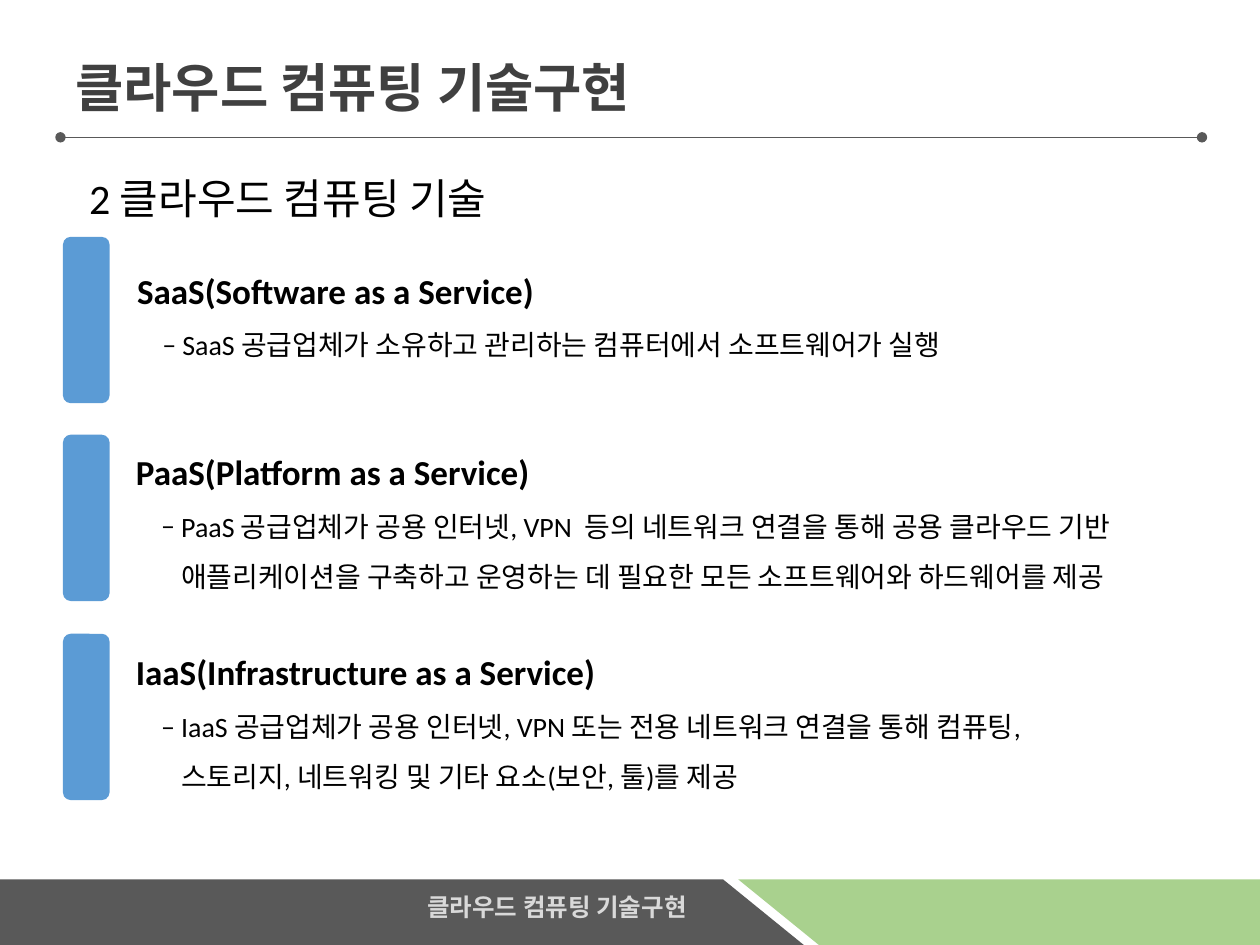
from lxml.etree import SubElement
from pptx import Presentation
from pptx.dml.color import RGBColor
from pptx.enum.shapes import MSO_CONNECTOR, MSO_SHAPE
from pptx.enum.text import MSO_ANCHOR, MSO_AUTO_SIZE, PP_ALIGN
from pptx.oxml.ns import qn
from pptx.util import Inches, Pt

WHITE = RGBColor(0xFF, 0xFF, 0xFF)
BLACK = RGBColor(0x00, 0x00, 0x00)
DARK_GRAY = RGBColor(0x59, 0x59, 0x59)
TITLE_GRAY = RGBColor(0x40, 0x40, 0x40)
LIGHT_GRAY = RGBColor(0xD9, 0xD9, 0xD9)
GREEN = RGBColor(0xA9, 0xD1, 0x8E)
BLUE = RGBColor(0x5B, 0x9B, 0xD5)
LATIN_FONT = "Calibri"
KOREAN_FONT = "Noto Sans CJK KR"
TITLE = "클라우드 컴퓨팅 기술구현"


def add_text_box(left, top, width, height, wrap=True):
    text_box = slide.shapes.add_textbox(Inches(left), Inches(top), Inches(width), Inches(height))
    frame = text_box.text_frame
    frame.word_wrap = wrap
    frame.auto_size = MSO_AUTO_SIZE.SHAPE_TO_FIT_TEXT
    return frame


def style(paragraph, text, size, color, bold=False, name=LATIN_FONT):
    paragraph.text = text
    font = paragraph.font
    font.size = Pt(size)
    font.bold = bold
    font.name = name
    font.color.rgb = color


presentation = Presentation()
presentation.slide_width = Inches(10)
presentation.slide_height = Inches(7.5)
slide = presentation.slides.add_slide(presentation.slide_layouts[6])
slide.background.fill.solid()
slide.background.fill.fore_color.rgb = WHITE

footer_bands = [
    (DARK_GRAY, [(-0.08, 6.98), (5.74, 6.98), (6.38, 7.5), (-0.07, 7.5)]),
    (GREEN, [(12.32, 7.5), (6.5, 7.5), (5.86, 6.98), (12.31, 6.98)]),
]
for color, points in footer_bands:
    corners = [(Inches(x), Inches(y)) for x, y in points]
    builder = slide.shapes.build_freeform(*corners[0])
    builder.add_line_segments(corners[1:], close=True)
    band = builder.convert_to_shape()
    band.shadow.inherit = False
    band.fill.solid()
    band.fill.fore_color.rgb = color
    band.line.fill.background()

rule = slide.shapes.add_connector(
    MSO_CONNECTOR.STRAIGHT, Inches(0.48), Inches(1.09), Inches(9.54), Inches(1.09)
)
rule.line.color.rgb = DARK_GRAY
rule.line.width = Pt(0.5)
line_properties = rule.line._get_or_add_ln()
for end in ("a:headEnd", "a:tailEnd"):
    SubElement(line_properties, qn(end), type="oval")
SubElement(rule._element.spPr, qn("a:effectLst"))

services = [
    (1.88, (0.99, 1.92, 8.03, 0.97), "SaaS(Software as a Service)", [
        "SaaS 공급업체가 소유하고 관리하는 컴퓨터에서 소프트웨어가 실행",
    ]),
    (3.45, (0.98, 3.36, 8.48, 1.37), "PaaS(Platform as a Service)", [
        "PaaS 공급업체가 공용 인터넷, VPN  등의 네트워크 연결을 통해 공용 클라우드 기반",
        "애플리케이션을 구축하고 운영하는 데 필요한 모든 소프트웨어와 하드웨어를 제공",
    ]),
    (5.03, (0.98, 4.95, 8.57, 1.41), "IaaS(Infrastructure as a Service)", [
        "IaaS 공급업체가 공용 인터넷, VPN 또는 전용 네트워크 연결을 통해 컴퓨팅,",
        "스토리지, 네트워킹 및 기타 요소(보안, 툴)를 제공",
    ]),
]
for bar_top, box, heading, lines in services:
    bar = slide.shapes.add_shape(
        MSO_SHAPE.ROUNDED_RECTANGLE, Inches(0.5), Inches(bar_top), Inches(0.37), Inches(1.32)
    )
    bar.shadow.inherit = False
    bar.fill.solid()
    bar.fill.fore_color.rgb = BLUE
    bar.line.fill.background()

    frame = add_text_box(*box)
    paragraph = frame.paragraphs[0]
    paragraph.line_spacing = 1.5
    style(paragraph, heading, 20, BLACK, bold=True)
    for index, line in enumerate(lines):
        paragraph = frame.add_paragraph()
        paragraph.line_spacing = 1.5
        properties = paragraph._p.get_or_add_pPr()
        properties.set("marL", str(Inches(0.36)))
        if index == 0:
            properties.set("indent", str(-Inches(0.16)))
            SubElement(properties, qn("a:buFont"), typeface=LATIN_FONT)
            SubElement(properties, qn("a:buChar"), char="–")
        style(paragraph, line, 16, BLACK)

footer = add_text_box(0.16, 7.03, 5.39, 0.34).paragraphs[0]
footer.alignment = PP_ALIGN.RIGHT
style(footer, TITLE, 14, LIGHT_GRAY, bold=True, name=KOREAN_FONT)

title_frame = add_text_box(0.5, 0.32, 9, 0.73)
title_frame.auto_size = MSO_AUTO_SIZE.NONE
title_frame.vertical_anchor = MSO_ANCHOR.MIDDLE
style(title_frame.paragraphs[0], TITLE, 30, TITLE_GRAY, bold=True, name=KOREAN_FONT)

subtitle = add_text_box(0.61, 1.32, 3.63, 0.5, wrap=False).paragraphs[0]
style(subtitle, "2 클라우드 컴퓨팅 기술", 24, BLACK)

presentation.save("out.pptx")
